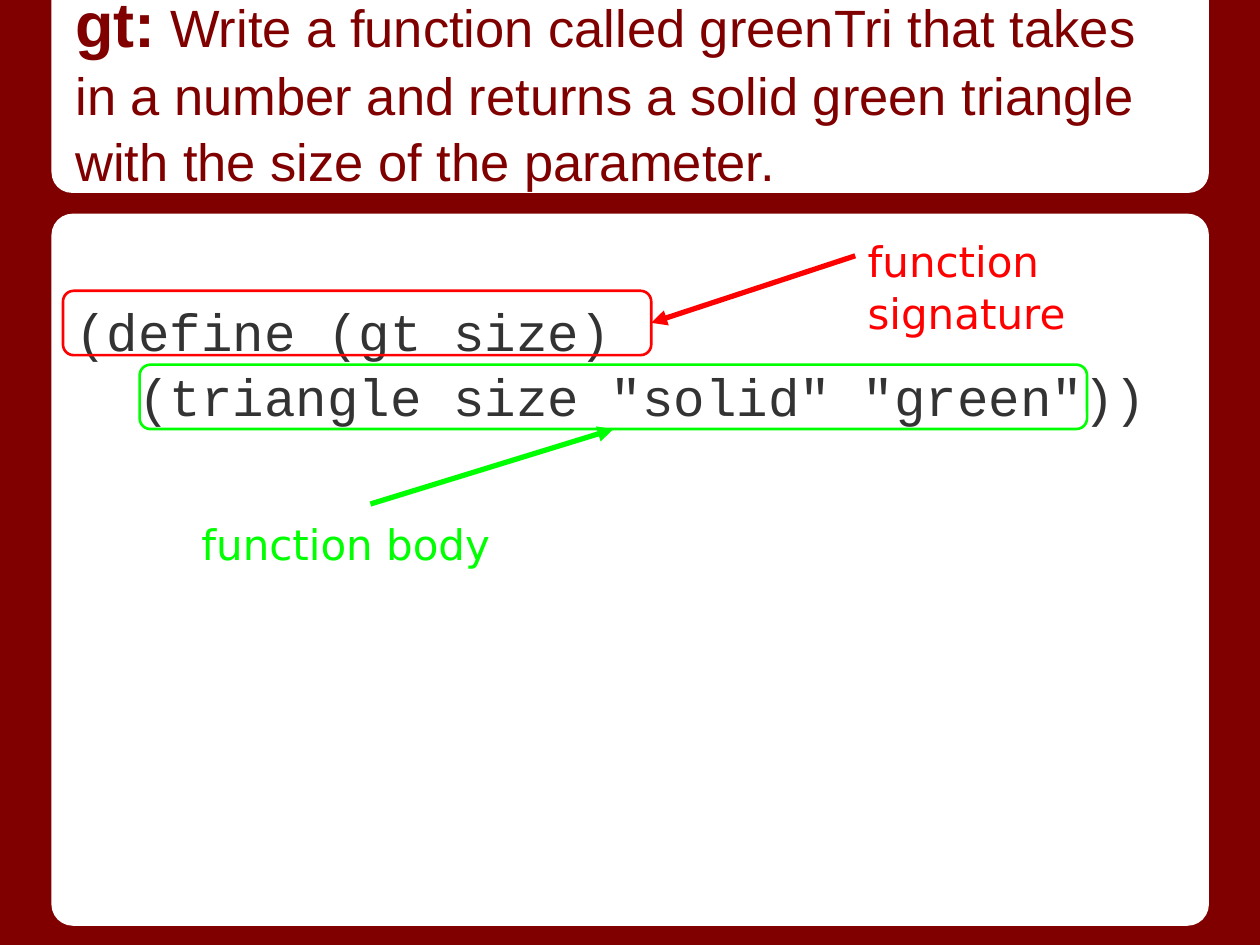
"""Build a slide that labels the signature and body of a function."""
import pptx
import pptx.dml.color
import pptx.enum.shapes
import pptx.enum.text
import pptx.oxml.ns
import pptx.util
from lxml import etree

Pt = pptx.util.Pt
RGBColor = pptx.dml.color.RGBColor
SHAPES = pptx.enum.shapes.MSO_SHAPE
ANCHOR = pptx.enum.text.MSO_ANCHOR

MAROON = RGBColor(0x80, 0x00, 0x00)
WHITE = RGBColor(0xFF, 0xFF, 0xFF)
CHARCOAL = RGBColor(0x33, 0x33, 0x33)
RED = RGBColor(0xFF, 0x00, 0x00)
GREEN = RGBColor(0x00, 0xFF, 0x00)


def add_panel(slide, kind, box, adjustments, rotation=0):
    shape = slide.shapes.add_shape(kind, *map(Pt, box))
    shape.shadow.inherit = False
    shape.fill.solid()
    shape.fill.fore_color.rgb = WHITE
    shape.line.fill.background()
    shape.rotation = rotation
    for index, value in enumerate(adjustments):
        shape.adjustments[index] = value


def add_outline(slide, box, color):
    shape = slide.shapes.add_shape(SHAPES.ROUNDED_RECTANGLE, *map(Pt, box))
    shape.shadow.inherit = False
    shape.fill.background()
    shape.line.color.rgb = color
    shape.line.width = Pt(1.5)


def add_arrow(slide, start, end, color):
    connector = slide.shapes.add_connector(
        pptx.enum.shapes.MSO_CONNECTOR.STRAIGHT, *map(Pt, start + end))
    connector.line.color.rgb = color
    connector.line.width = Pt(3)
    line = connector.line._get_or_add_ln()
    etree.SubElement(line, pptx.oxml.ns.qn("a:tailEnd"), type="triangle")
    etree.SubElement(connector._element.spPr, pptx.oxml.ns.qn("a:effectLst"))


def add_text_frame(slide, box, anchor=ANCHOR.TOP):
    frame = slide.shapes.add_textbox(*map(Pt, box)).text_frame
    frame.word_wrap = True
    frame.vertical_anchor = anchor
    frame.margin_left = frame.margin_right = Pt(7.2)
    frame.margin_top = frame.margin_bottom = Pt(7.2)
    return frame


def format_paragraph(paragraph, indent=0):
    paragraph.line_spacing = 1.04
    paragraph._p.get_or_add_pPr().set("indent", str(Pt(indent)))


def add_run(paragraph, text, *, font, size, color, bold=False):
    run = paragraph.add_run()
    run.text = text
    run.font.name = font
    run.font.size = Pt(size)
    run.font.color.rgb = color
    run.font.bold = bold


def add_title(slide):
    frame = add_text_frame(slide, (36, 26.64, 648, 90), ANCHOR.BOTTOM)
    paragraph = frame.paragraphs[0]
    format_paragraph(paragraph)
    add_run(paragraph, "gt:", font="Arial", size=36, color=MAROON, bold=True)
    add_run(paragraph, " ", font="Arial", size=30, color=MAROON, bold=True)
    add_run(paragraph, "Write a function called greenTri that takes in a number and "
            "returns a solid green triangle with the size of the parameter.",
            font="Arial", size=30, color=MAROON)


def add_code(slide):
    frame = add_text_frame(slide, (36, 162, 648, 103))
    lines = [("(define (gt size)", 0), ('(triangle size "solid" "green"))', 36)]
    for index, (text, indent) in enumerate(lines):
        paragraph = frame.add_paragraph() if index else frame.paragraphs[0]
        format_paragraph(paragraph, indent)
        add_run(paragraph, text, font="Courier New", size=30, color=CHARCOAL)


def add_callout(slide, text, color, outline, start, end, label_corner):
    add_outline(slide, outline, color)
    add_arrow(slide, start, end, color)
    paragraph = add_text_frame(slide, label_corner + (207.36, 41)).paragraphs[0]
    format_paragraph(paragraph)
    add_run(paragraph, text, font="DejaVu Sans", size=24, color=color)


def main():
    presentation = pptx.Presentation()
    presentation.slide_width, presentation.slide_height = Pt(720), Pt(540)
    slide = presentation.slides.add_slide(presentation.slide_layouts[6])
    slide.background.fill.solid()
    slide.background.fill.fore_color.rgb = MAROON
    add_panel(slide, SHAPES.ROUNDED_RECTANGLE, (29.4, 122.1, 661.4, 406.9), [0.03])
    add_panel(slide, SHAPES.ROUND_2_SAME_RECTANGLE, (29.4, 0, 661.4, 110.2),
              [0.106, 0], rotation=180)
    add_title(slide)
    add_code(slide)
    add_callout(slide, "function signature", RED, (36, 166.2, 336.2, 36.8),
                (488.7, 146.2), (372.2, 184.5), (488.7, 126))
    add_callout(slide, "function body", GREEN, (79.8, 208.4, 541.4, 36.8),
                (211.7, 288), (350.5, 245.3), (108, 288))
    presentation.save("out.pptx")


if __name__ == "__main__":
    main()
